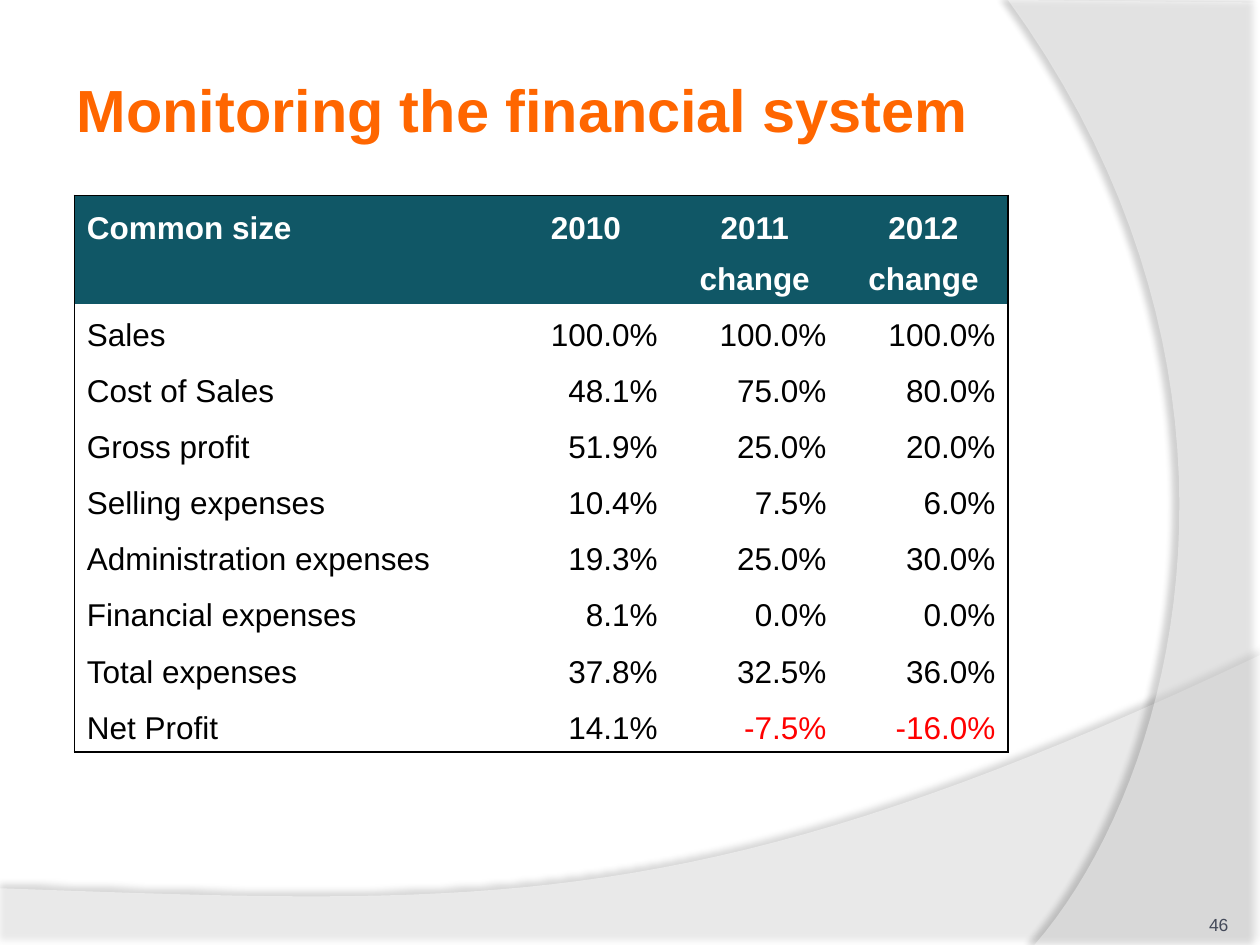
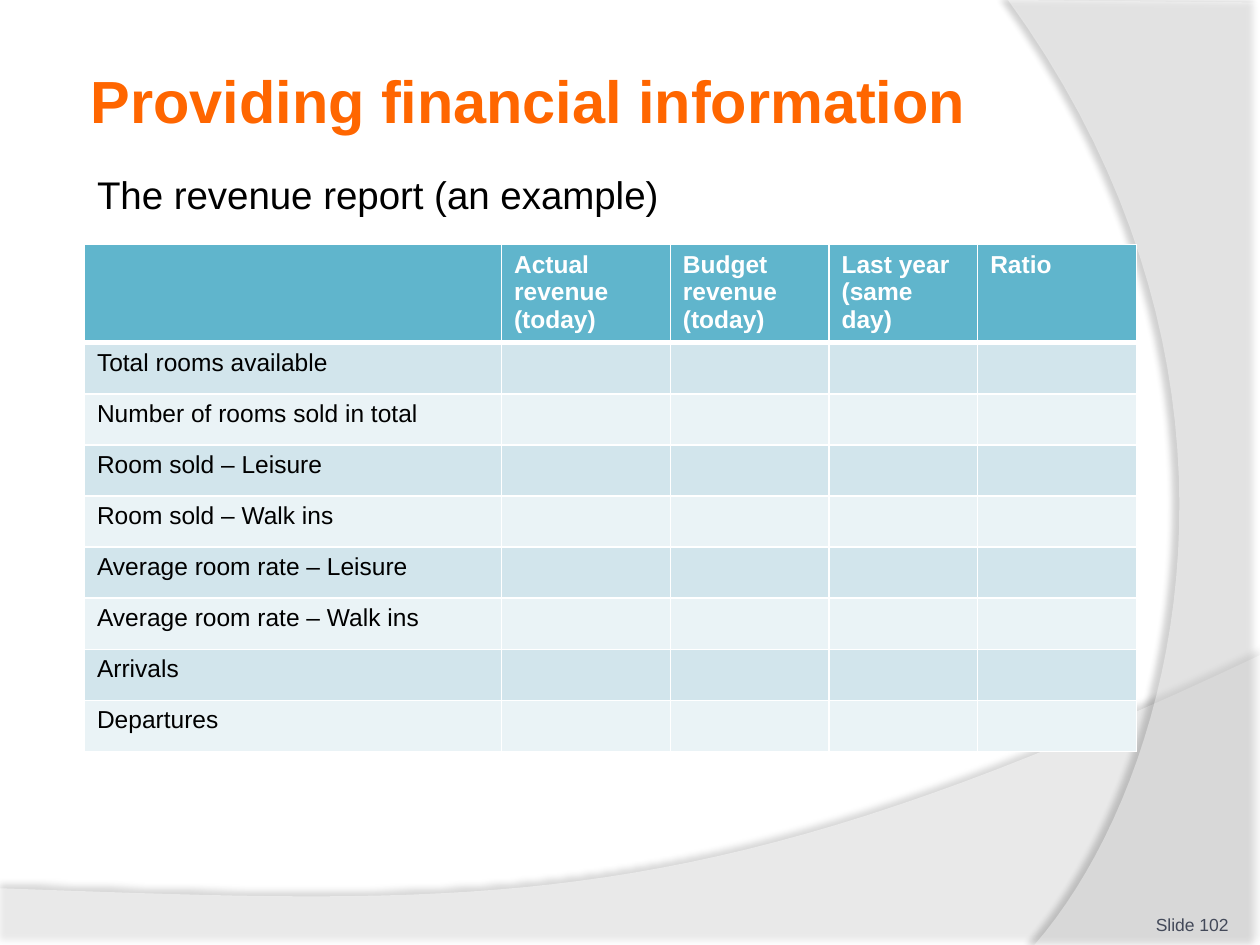
from lxml import etree
from pptx import Presentation
from pptx.dml.color import RGBColor
from pptx.enum.text import MSO_ANCHOR, MSO_AUTO_SIZE, PP_ALIGN
from pptx.oxml import parse_xml
from pptx.oxml.ns import nsdecls, qn
from pptx.util import Inches, Pt

FONT = "Arial"
WHITE, BLACK, RED = "FFFFFF", "000000", "FF0000"
ORANGE, GREY = "FF6600", "434959"
TEAL, BLUE, BANDS = "105766", "60B5CC", ("D2E5EC", "EAF3F6")
LEFT, CENTER, RIGHT = PP_ALIGN.LEFT, PP_ALIGN.CENTER, PP_ALIGN.RIGHT
TOP, MIDDLE, BOTTOM = MSO_ANCHOR.TOP, MSO_ANCHOR.MIDDLE, MSO_ANCHOR.BOTTOM

COMMON_SIZE = [
    ("Common size", "2010", "2011", "2012"),
    ("", "", "change", "change"),
    ("Sales", "100.0%", "100.0%", "100.0%"),
    ("Cost of Sales", "48.1%", "75.0%", "80.0%"),
    ("Gross profit", "51.9%", "25.0%", "20.0%"),
    ("Selling expenses", "10.4%", "7.5%", "6.0%"),
    ("Administration expenses", "19.3%", "25.0%", "30.0%"),
    ("Financial expenses", "8.1%", "0.0%", "0.0%"),
    ("Total expenses", "37.8%", "32.5%", "36.0%"),
    ("Net Profit", "14.1%", "-7.5%", "-16.0%"),
]
REVENUE_HEADER = ("", "Actual revenue (today)", "Budget revenue\v(today)",
                  "Last year (same day)", "Ratio")
REVENUE_LINES = [
    "Total rooms available", "Number of rooms sold in total",
    "Room sold – Leisure", "Room sold – Walk ins",
    "Average room rate – Leisure", "Average room rate – Walk ins",
    "Arrivals", "Departures",
]


def rgb(color):
    return RGBColor.from_string(color)


def write(tf, text, size, color=BLACK, bold=False, align=LEFT, after=0):
    p = tf.paragraphs[0]
    p.text = text
    p.alignment = align
    p.space_before, p.space_after = Pt(0), Pt(after)
    for r in p.runs:
        r.font.name, r.font.size, r.font.bold = FONT, Pt(size), bold
        r.font.color.rgb = rgb(color)
    return p


def bezier(p0, p1, p2, p3, steps=40):
    for i in range(steps + 1):
        t = i / steps
        u = 1 - t
        yield tuple(u**3 * a + 3 * u * u * t * b + 3 * u * t * t * c + t**3 * d
                    for a, b, c, d in zip(p0, p1, p2, p3))


def set_borders(cell, sides):
    tcPr = cell._tc.get_or_add_tcPr()
    for side in "LRTB":
        color, width = sides.get(side, (None, 1))
        ln = etree.SubElement(tcPr, qn(f"a:ln{side}"), w=str(Pt(width)))
        if color:
            fill = etree.SubElement(ln, qn("a:solidFill"))
            etree.SubElement(fill, qn("a:srgbClr"), val=color)
        else:
            etree.SubElement(ln, qn("a:noFill"))


class Deck:
    def __init__(self):
        self.prs = Presentation()
        self.prs.slide_width, self.prs.slide_height = Inches(10), Inches(7.5)
        self.s = None

    def slide(self, layout, number):
        self.s = self.prs.slides.add_slide(self.prs.slide_layouts[layout])
        sweep = bezier((10, 5.2), (5.59, 7.29), (3.91, 7.19), (0, 7.05))
        arc = bezier((8.21, 7.5), (9.35, 6.19), (10.18, 3), (8, 0))
        self.band([(0, 7.5), (10, 7.5), *sweep], 2, 45, 35, 3.5, 270)
        self.band([(10, 0.02), (10, 7.5), *arc], 3, 40, 45, 4, 180)
        tf = self.s.shapes.add_textbox(
            Inches(8.92), Inches(7.02), Inches(0.83), Inches(0.4)).text_frame
        self.frame(tf, BOTTOM, 0, 0)
        write(tf, number, 10, GREY, align=RIGHT)

    def band(self, points, depth, opacity, shade, distance, angle):
        start, *rest = [(Inches(x), Inches(y)) for x, y in points]
        builder = self.s.shapes.build_freeform(*start)
        builder.add_line_segments(rest, close=True)
        sp = builder.convert_to_shape()
        sp.line.fill.background()
        sp.fill.solid()
        sp.fill.fore_color.rgb = rgb(WHITE)
        clr = sp._element.spPr.find(".//" + qn("a:srgbClr"))
        etree.SubElement(clr, qn("a:alpha"), val=str(opacity * 1000))
        sp._element.spPr.append(parse_xml(
            f'<a:effectLst {nsdecls("a")}><a:outerShdw blurRad="{Pt(4)}" '
            f'dist="{Pt(distance)}" dir="{angle * 60000}" algn="ctr" rotWithShape="0">'
            f'<a:srgbClr val="{BLACK}"><a:alpha val="{shade * 1000}"/></a:srgbClr>'
            '</a:outerShdw></a:effectLst>'))
        self.s.shapes._spTree.insert(depth, sp._element)

    def frame(self, tf, anchor, inset_x, inset_y):
        tf.word_wrap, tf.auto_size = True, MSO_AUTO_SIZE.NONE
        tf.vertical_anchor = anchor
        tf.margin_left = tf.margin_right = Inches(inset_x)
        tf.margin_top = tf.margin_bottom = Inches(inset_y)

    def place(self, sp, x, y, w, h):
        sp.left, sp.top, sp.width, sp.height = map(Inches, (x, y, w, h))

    def title(self, text, *box):
        sp = self.s.shapes.title
        self.place(sp, *box)
        self.frame(sp.text_frame, MIDDLE, 0.05, 0.05)
        write(sp.text_frame, text, 34, ORANGE, bold=True)

    def body(self, text, *box):
        sp = self.s.placeholders[1]
        self.place(sp, *box)
        self.frame(sp.text_frame, TOP, 0.1, 0.05)
        p = write(sp.text_frame, text, 22, after=12)
        pPr = p._p.get_or_add_pPr()
        pPr.set("marL", "0")
        pPr.set("indent", "0")
        etree.SubElement(pPr, qn("a:buNone"))

    def table(self, rows, x, y, widths, heights, size, anchor, look):
        tbl = self.s.shapes.add_table(
            len(rows), len(widths), Inches(x), Inches(y),
            Inches(sum(widths)), Inches(sum(heights))).table
        tbl.horz_banding = False
        for col, w in zip(tbl.columns, widths):
            col.width = Inches(w)
        for row, h in zip(tbl.rows, heights):
            row.height = Inches(h)
        for i, row in enumerate(rows):
            for j, text in enumerate(row):
                cell = tbl.cell(i, j)
                fill, sides, fmt = look(i, j, text)
                set_borders(cell, sides)
                if fill:
                    cell.fill.solid()
                    cell.fill.fore_color.rgb = rgb(fill)
                else:
                    cell.fill.background()
                cell.vertical_anchor = anchor
                if text:
                    write(cell.text_frame, text, size, **fmt)


def common_size_look(i, j, text):
    edges = {"L": j == 0, "R": j == 3, "T": i == 0, "B": i == len(COMMON_SIZE) - 1}
    sides = {side: (BLACK, 1) for side, outer in edges.items() if outer}
    if i < 2:
        return TEAL, sides, dict(color=WHITE, bold=True, align=CENTER if j else LEFT)
    color = RED if text.startswith("-") else BLACK
    return None, sides, dict(color=color, align=RIGHT if j else LEFT)


def revenue_look(i, j, text):
    sides = {side: (WHITE, 1) for side in "LRTB"}
    if i == 0:
        sides["B"] = (WHITE, 3)
        return BLUE, sides, dict(color=WHITE, bold=True)
    if i == 1:
        sides["T"] = (WHITE, 3)
    return BANDS[(i - 1) % 2], sides, {}


def main():
    deck = Deck()

    deck.slide(5, "46")
    deck.title("Monitoring the financial system", 0.56, 0.42, 9.08, 0.89)
    deck.table(COMMON_SIZE, 0.59, 1.55, [3.39] + [1.34] * 3,
               [0.45, 0.41] + [3.56 / 8] * 8, 18, BOTTOM, common_size_look)

    deck.slide(1, "Slide 102")
    deck.title("Providing financial information", 0.67, 0.36, 8.17, 0.87)
    deck.body("The revenue report (an example)", 0.67, 1.31, 8.43, 1.26)
    revenue = [REVENUE_HEADER] + [(line, "", "", "", "") for line in REVENUE_LINES]
    deck.table(revenue, 0.67, 1.94, [3.31, 1.34, 1.26, 1.18, 1.26],
               [0.78] + [3.15 / 8] * 8, 14, TOP, revenue_look)

    deck.prs.save("out.pptx")


if __name__ == "__main__":
    main()
